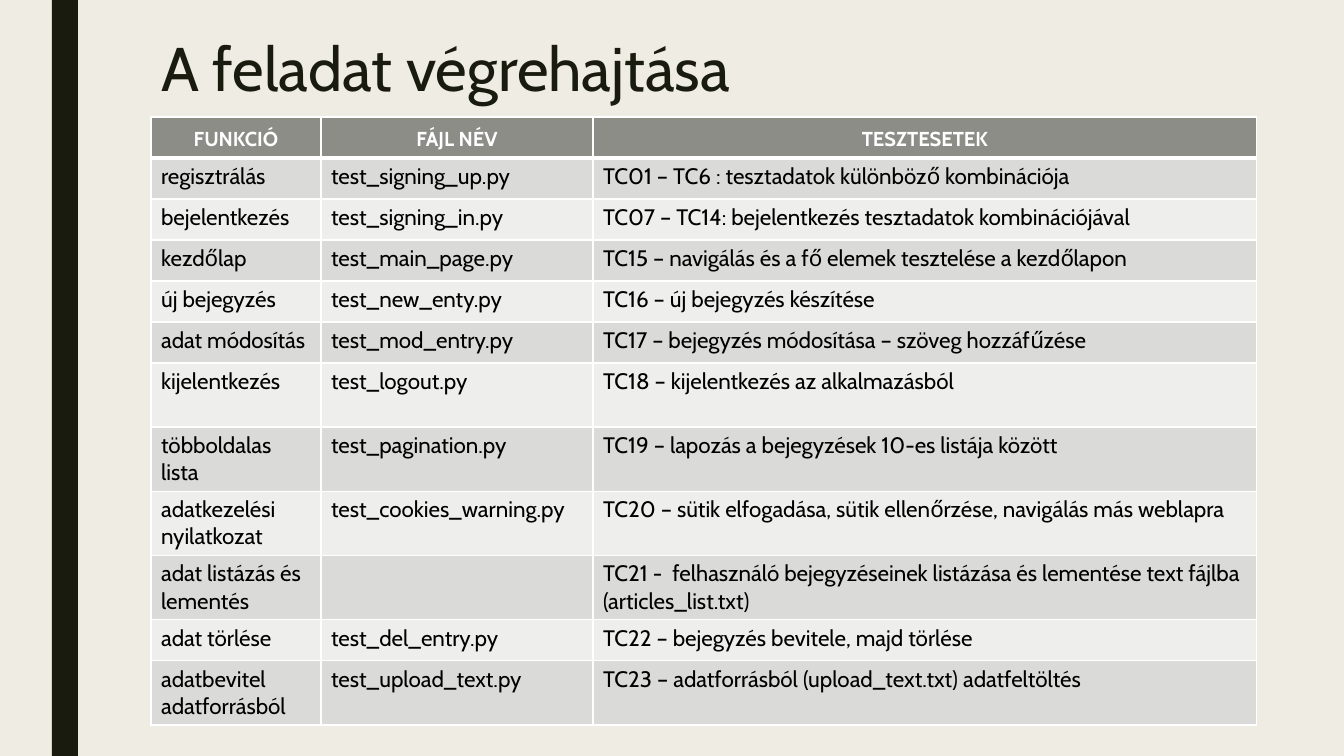
from lxml.etree import SubElement
from pptx import Presentation
from pptx.dml.color import RGBColor
from pptx.enum.shapes import MSO_SHAPE
from pptx.enum.text import MSO_ANCHOR, MSO_AUTO_SIZE, PP_ALIGN
from pptx.oxml.ns import qn
from pptx.util import Emu, Pt

SLIDE_WIDTH, SLIDE_HEIGHT = 1344, 756
EMU_PER_PIXEL = 914400 / 100.8

CREAM = RGBColor(0xEF, 0xED, 0xE3)
DARK_OLIVE = RGBColor(0x19, 0x1B, 0x0E)
HEADER_GRAY = RGBColor(0x8C, 0x8D, 0x86)
BAND_DARK = RGBColor(0xDA, 0xDB, 0xD9)
BAND_LIGHT = RGBColor(0xEE, 0xEE, 0xED)
WHITE = RGBColor(0xFF, 0xFF, 0xFF)
BLACK = RGBColor(0x00, 0x00, 0x00)

COLUMN_WIDTHS = [170, 272, 664]
SINGLE_ROW, DOUBLE_ROW = 41, 64
HEADERS = ["funkció", "fájl név", "tesztesetek"]
# Row height, function, file name, test cases
TEST_ROWS = [
    (SINGLE_ROW, "regisztrálás", "test_signing_up.py",
     "TC01 – TC6 : tesztadatok különböző kombinációja"),
    (SINGLE_ROW, "bejelentkezés", "test_signing_in.py",
     "TC07 – TC14: bejelentkezés tesztadatok kombinációjával"),
    (SINGLE_ROW, "kezdőlap", "test_main_page.py",
     "TC15 – navigálás és a fő elemek tesztelése a kezdőlapon"),
    (SINGLE_ROW, "új bejegyzés", "test_new_enty.py",
     "TC16 – új bejegyzés készítése"),
    (SINGLE_ROW, "adat módosítás", "test_mod_entry.py",
     "TC17 – bejegyzés módosítása – szöveg hozzáfűzése"),
    (DOUBLE_ROW, "kijelentkezés", "test_logout.py",
     "TC18 – kijelentkezés az alkalmazásból"),
    (DOUBLE_ROW, "többoldalas lista", "test_pagination.py",
     "TC19 – lapozás a bejegyzések 10-es listája között"),
    (DOUBLE_ROW, "adatkezelési nyilatkozat", "test_cookies_warning.py",
     "TC20 – sütik elfogadása, sütik ellenőrzése, navigálás más weblapra"),
    (DOUBLE_ROW, "adat listázás és lementés", "",
     "TC21 -  felhasználó bejegyzéseinek listázása és lementése text fájlba "
     "(articles_list.txt)"),
    (SINGLE_ROW, "adat törlése", "test_del_entry.py",
     "TC22 – bejegyzés bevitele, majd törlése"),
    (DOUBLE_ROW, "adatbevitel adatforrásból", "test_upload_text.py",
     "TC23 – adatforrásból (upload_text.txt) adatfeltöltés"),
]


def pixels(length):
    return Emu(round(length * EMU_PER_PIXEL))


class SlideBuilder:
    font_name = "Cabin"

    def __init__(self, slide):
        self.slide = slide

    def background(self, color):
        fill = self.slide.background.fill
        fill.solid()
        fill.fore_color.rgb = color

    def style(self, paragraph, size, color, bold=False):
        font = paragraph.font
        font.name, font.size, font.bold = self.font_name, Pt(size), bold
        font.color.rgb = color

    def bar(self, left, top, width, height, color):
        shape = self.slide.shapes.add_shape(
            MSO_SHAPE.RECTANGLE, *map(pixels, (left, top, width, height)))
        shape.shadow.inherit = False
        shape.fill.solid()
        shape.fill.fore_color.rgb = color
        shape.line.fill.background()

    def title(self, text, left, top, width, height):
        title = self.slide.shapes.title
        title.left, title.top, title.width, title.height = map(
            pixels, (left, top, width, height))
        frame = title.text_frame
        frame.text = text
        frame.auto_size = MSO_AUTO_SIZE.NONE
        frame.vertical_anchor = MSO_ANCHOR.TOP
        paragraph = frame.paragraphs[0]
        paragraph.alignment = PP_ALIGN.LEFT
        paragraph.line_spacing = 0.89
        self.style(paragraph, 44, DARK_OLIVE)

    def cell_borders(self, cell, top, bottom):
        properties = cell._tc.get_or_add_tcPr()
        for side, width in (("L", 1), ("R", 1), ("T", top), ("B", bottom)):
            line = SubElement(properties, qn(f"a:ln{side}"), w=str(Pt(width)))
            fill = SubElement(line, qn("a:solidFill"))
            SubElement(fill, qn("a:srgbClr"), val=str(WHITE))

    def cell(self, cell, text, row):
        is_header = row == 0
        cell.text = text
        paragraph = cell.text_frame.paragraphs[0]
        if is_header:
            self.style(paragraph, 18, WHITE, bold=True)
            paragraph.alignment = PP_ALIGN.CENTER
            paragraph.font._rPr.set("cap", "small")
            color = HEADER_GRAY
        else:
            self.style(paragraph, 16, BLACK)
            color = BAND_DARK if row % 2 else BAND_LIGHT
        self.cell_borders(cell, top=3 if row == 1 else 1,
                          bottom=3 if is_header else 1)
        cell.fill.solid()
        cell.fill.fore_color.rgb = color

    def table(self, left, top, widths, rows):
        heights = [height for height, *texts in rows]
        table = self.slide.shapes.add_table(
            len(rows), len(widths), pixels(left), pixels(top),
            pixels(sum(widths)), pixels(sum(heights))).table
        for column, width in zip(table.columns, widths):
            column.width = pixels(width)
        for row, (height, *texts) in enumerate(rows):
            table.rows[row].height = pixels(height)
            for column, text in enumerate(texts):
                self.cell(table.cell(row, column), text, row)


presentation = Presentation()
presentation.slide_width = pixels(SLIDE_WIDTH)
presentation.slide_height = pixels(SLIDE_HEIGHT)
title_only = presentation.slide_layouts[5]
builder = SlideBuilder(presentation.slides.add_slide(title_only))

# Background and side bar
builder.background(CREAM)
builder.bar(52, 0, 26, SLIDE_HEIGHT, DARK_OLIVE)

# Title
builder.title("A feladat végrehajtása", 151, 34, 1058, 163)

# Test case table
builder.table(151, 117, COLUMN_WIDTHS, [(SINGLE_ROW, *HEADERS), *TEST_ROWS])

presentation.save("out.pptx")
